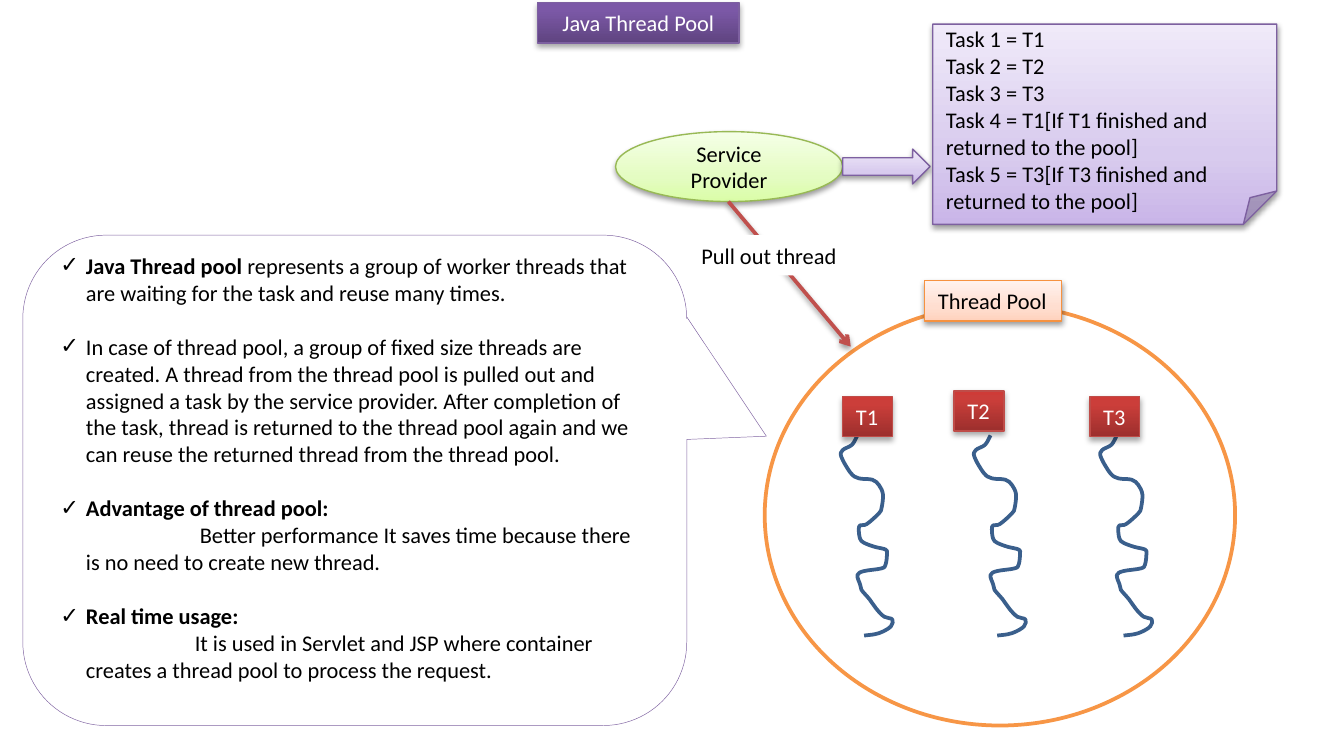
from lxml.etree import SubElement
from pptx import Presentation
from pptx.dml.color import RGBColor
from pptx.enum.shapes import MSO_CONNECTOR, MSO_SHAPE
from pptx.enum.text import MSO_ANCHOR, MSO_AUTO_SIZE, PP_ALIGN
from pptx.oxml.ns import qn
from pptx.util import Pt

PX = 9144  # 100 px to the inch
FONT = "Calibri"
SIZE = Pt(12)
GAP = Pt(14.6)  # one line of text

BLACK = RGBColor(0x00, 0x00, 0x00)
WHITE = RGBColor(0xFF, 0xFF, 0xFF)
ORANGE = RGBColor(0xF7, 0x96, 0x46)
AMBER = RGBColor(0xF6, 0x92, 0x40)
NAVY = RGBColor(0x3A, 0x5F, 0x8C)
BRICK = RGBColor(0xBF, 0x4C, 0x48)
RED = RGBColor(0xC0, 0x50, 0x4D)
VIOLET = RGBColor(0x80, 0x64, 0xA2)
PURPLE = RGBColor(0x7D, 0x60, 0xA0)
GREEN = RGBColor(0x98, 0xB9, 0x55)

# Gradient stops, from the bottom up
DEEP = ((0, RGBColor(0x5F, 0x44, 0x80)), (80, RGBColor(0x7B, 0x58, 0xA6)),
        (100, RGBColor(0x7C, 0x57, 0xA8)))
RUBY = ((0, RGBColor(0x9C, 0x2F, 0x2D)), (80, RGBColor(0xCB, 0x3E, 0x3A)),
        (100, RGBColor(0xCE, 0x3B, 0x37)))
PEACH = ((0, RGBColor(0xFF, 0xD2, 0xBD)), (35, RGBColor(0xFF, 0xDE, 0xD0)),
         (100, RGBColor(0xFF, 0xF2, 0xED)))
LIME = ((0, RGBColor(0xDA, 0xFD, 0xA7)), (35, RGBColor(0xE4, 0xFC, 0xC2)),
        (100, RGBColor(0xF5, 0xFF, 0xE7)))
LILAC = ((0, RGBColor(0xC9, 0xB5, 0xE8)), (35, RGBColor(0xD8, 0xCB, 0xEE)),
         (100, RGBColor(0xF0, 0xEA, 0xF9)))

# Shadow strength in percent and distance in points
STRONG = (35, 1.8)
SOFT = (38, 1.6)

TAG = {"word_wrap": False, "auto_size": MSO_AUTO_SIZE.SHAPE_TO_FIT_TEXT,
       "vertical_anchor": MSO_ANCHOR.TOP}
MID = {"word_wrap": True, "vertical_anchor": MSO_ANCHOR.MIDDLE}
HEAD = {**MID, "auto_size": MSO_AUTO_SIZE.NONE}
LIST = {"word_wrap": True, "vertical_anchor": MSO_ANCHOR.TOP,
        "margin_top": 1 * PX, "margin_bottom": 0}
NOTE = {**MID, "margin_bottom": 24 * PX}

THREAD = [(12, 0), (8, 7), (1, 11), (0, 16), (7, 28), (13, 32), (23, 33),
          (28, 37), (31, 44), (30, 54), (28, 58), (19, 66), (14, 67),
          (13, 70), (14, 77), (17, 80), (25, 83), (33, 85), (34, 88),
          (33, 96), (30, 99), (17, 101), (12, 104), (14, 111), (15, 115),
          (21, 122), (26, 129), (32, 135), (38, 137), (37, 142), (31, 146),
          (25, 148), (17, 149)]

TASKS = ["Task 1 = T1", "Task 2 = T2", "Task 3 = T3",
         "Task 4 = T1[If T1 finished and returned to the pool]",
         "Task 5 = T3[If T3 finished and returned to the pool]"]

# Bold lead, whether the line breaks after it, plain text
POINTS = [
    ("Java Thread pool", False,
     " represents a group of worker threads that are waiting for the task "
     "and reuse many times."),
    ("", False,
     "In case of thread pool, a group of fixed size threads are created. "
     "A thread from the thread pool is pulled out and assigned a task by the "
     "service provider. After completion of the task, thread is returned to "
     "the thread pool again and we can reuse the returned thread from the "
     "thread pool."),
    ("Advantage of thread pool:", True,
     "\t Better performance It saves time because there is no need to create "
     "new thread."),
    ("Real time usage:", True,
     "\tIt is used in Servlet and JSP where container creates a thread pool "
     "to process the request."),
]


def put(item, vals):
    for name, val in vals.items():
        setattr(item, name, val)


def shade(shape, cast=None):
    """Give the shape its own shadow, or none; call after fill and line."""
    effects = SubElement(shape._element.spPr, qn("a:effectLst"))
    if cast:
        alpha, dist = cast
        outer = SubElement(effects, qn("a:outerShdw"), blurRad=str(Pt(3.1)),
                           dist=str(Pt(dist)), dir="5400000", rotWithShape="0")
        color = SubElement(outer, qn("a:srgbClr"), val=str(BLACK))
        SubElement(color, qn("a:alpha"), val=str(alpha * 1000))


def blend(shape, stops):
    """Fill with a gradient that runs from the bottom to the top."""
    shape.fill.gradient()
    shape.fill.gradient_angle = 90
    group = shape._element.spPr.find(".//" + qn("a:gsLst"))
    for old in list(group):
        group.remove(old)
    for pos, color in stops:
        stop = SubElement(group, qn("a:gs"), pos=str(pos * 1000))
        SubElement(stop, qn("a:srgbClr"), val=str(color))


def stroke(shape, color, width):
    shape.line.color.rgb = color
    shape.line.width = Pt(width)


def paint(shape, fill, edge, width=0.75, cast=None):
    if isinstance(fill, RGBColor):
        shape.fill.solid()
        shape.fill.fore_color.rgb = fill
    else:
        blend(shape, fill)
    if edge is None:
        shape.line.fill.background()
    else:
        stroke(shape, edge, width)
    shade(shape, cast)


def add_run(para, text, color=BLACK, bold=False):
    run = para.add_run()
    run.text = text
    put(run.font, {"name": FONT, "size": SIZE, "bold": bold})
    run.font.color.rgb = color


def write(shape, lines, frame, color=BLACK, align=PP_ALIGN.LEFT):
    box = shape.text_frame
    put(box, frame)
    for num, line in enumerate(lines):
        para = box.add_paragraph() if num else box.paragraphs[0]
        para.alignment = align
        add_run(para, line, color)


def add_form(slide, kind, place, *style, **more):
    shape = slide.shapes.add_shape(kind, *(PX * n for n in place))
    paint(shape, *style, **more)
    return shape


def add_title(slide):
    title = slide.shapes.title
    put(title, {"left": 400 * PX, "top": 2 * PX,
                "width": 150 * PX, "height": 30 * PX})
    paint(title, DEEP, PURPLE, cast=STRONG)
    write(title, ["Java Thread Pool"], HEAD, WHITE, PP_ALIGN.CENTER)


def bend(shape, points):
    """Turn the straight segments into smooth (Catmull-Rom) curves."""
    ends = [points[0], *points, points[-1]]
    lines = list(shape._element.spPr.iter(qn("a:lnTo")))
    for line, a, b, c, d in zip(lines, ends, ends[1:], ends[2:], ends[3:]):
        group = line.getparent()
        cubic = SubElement(group, qn("a:cubicBezTo"))
        first = [q + (r - p) / 6 for p, q, r in zip(a, b, c)]
        last = [q - (r - p) / 6 for p, q, r in zip(b, c, d)]
        for x, y in (first, last, c):
            SubElement(cubic, qn("a:pt"), x=str(round(x)), y=str(round(y)))
        group.remove(line)


def add_thread(slide, left, top):
    points = [(x * 10, y * 10) for x, y in THREAD]
    pen = slide.shapes.build_freeform(*points[0], scale=PX / 10)
    pen.add_line_segments(points[1:], close=False)
    shape = pen.convert_to_shape(left * PX, top * PX)
    bend(shape, points)
    shape.fill.background()
    stroke(shape, NAVY, 2)
    shade(shape)


def add_note(slide):
    note = add_form(slide, MSO_SHAPE.ROUNDED_RECTANGULAR_CALLOUT,
                    (17, 175, 494, 365), WHITE, VIOLET, 0.25)
    for num, val in enumerate((0.62, -0.09, 0.17)):
        note.adjustments[num] = val
    box = note.text_frame
    put(box, NOTE)
    for num, (lead, split, text) in enumerate(POINTS):
        para = box.add_paragraph() if num else box.paragraphs[0]
        put(para, {"alignment": PP_ALIGN.LEFT,
                   "space_before": GAP if num else 0})
        props = para._p.get_or_add_pPr()
        props.set("marL", str(19 * PX))
        props.set("indent", str(-19 * PX))
        SubElement(props, qn("a:buFont"), typeface=FONT)
        SubElement(props, qn("a:buChar"), char="✓")
        tabs = SubElement(props, qn("a:tabLst"))
        SubElement(tabs, qn("a:tab"), pos=str(100 * PX), algn="l")
        if lead:
            add_run(para, lead, bold=True)
        if split:
            para.add_line_break()
            SubElement(para._p[-1], qn("a:rPr"), sz=str(int(SIZE.pt * 100)))
        add_run(para, text)


def add_arrow(slide, *ends):
    arrow = slide.shapes.add_connector(MSO_CONNECTOR.STRAIGHT,
                                       *(PX * n for n in ends))
    stroke(arrow, RED, 2)
    SubElement(arrow.line._get_or_add_ln(), qn("a:tailEnd"), type="arrow")
    shade(arrow, SOFT)


def main():
    deck = Presentation()
    put(deck, {"slide_width": 1000 * PX, "slide_height": 550 * PX})
    slide = deck.slides.add_slide(deck.slide_layouts[5])
    add_title(slide)
    add_form(slide, MSO_SHAPE.OVAL, (569, 227, 350, 313), WHITE, ORANGE, 2)
    for left in (626, 725, 819):
        add_thread(slide, left, 324)
    for name, left, top in (("T1", 627, 295), ("T2", 710, 291), ("T3", 811, 295)):
        tag = add_form(slide, MSO_SHAPE.RECTANGLE, (left, top, 37, 30),
                       RUBY, BRICK, cast=STRONG)
        write(tag, [name], TAG, WHITE)
    add_note(slide)
    pool = add_form(slide, MSO_SHAPE.RECTANGLE, (688, 209, 102, 30),
                    PEACH, AMBER, cast=SOFT)
    write(pool, ["Thread Pool"], TAG)
    server = add_form(slide, MSO_SHAPE.OVAL, (458, 98, 169, 52),
                      LIME, GREEN, cast=SOFT)
    write(server, ["Service Provider"], MID, align=PP_ALIGN.CENTER)
    add_form(slide, MSO_SHAPE.RIGHT_ARROW, (627, 111, 65, 26),
             LILAC, PURPLE, cast=SOFT)
    tasks = add_form(slide, MSO_SHAPE.FOLDED_CORNER, (694, 18, 256, 149),
                     LILAC, PURPLE, cast=SOFT)
    write(tasks, TASKS, LIST)
    add_arrow(slide, 542, 150, 633, 258)
    label = add_form(slide, MSO_SHAPE.RECTANGLE, (512, 175, 122, 30), WHITE, None)
    write(label, ["Pull out thread"], TAG)
    deck.save("out.pptx")


if __name__ == "__main__":
    main()
